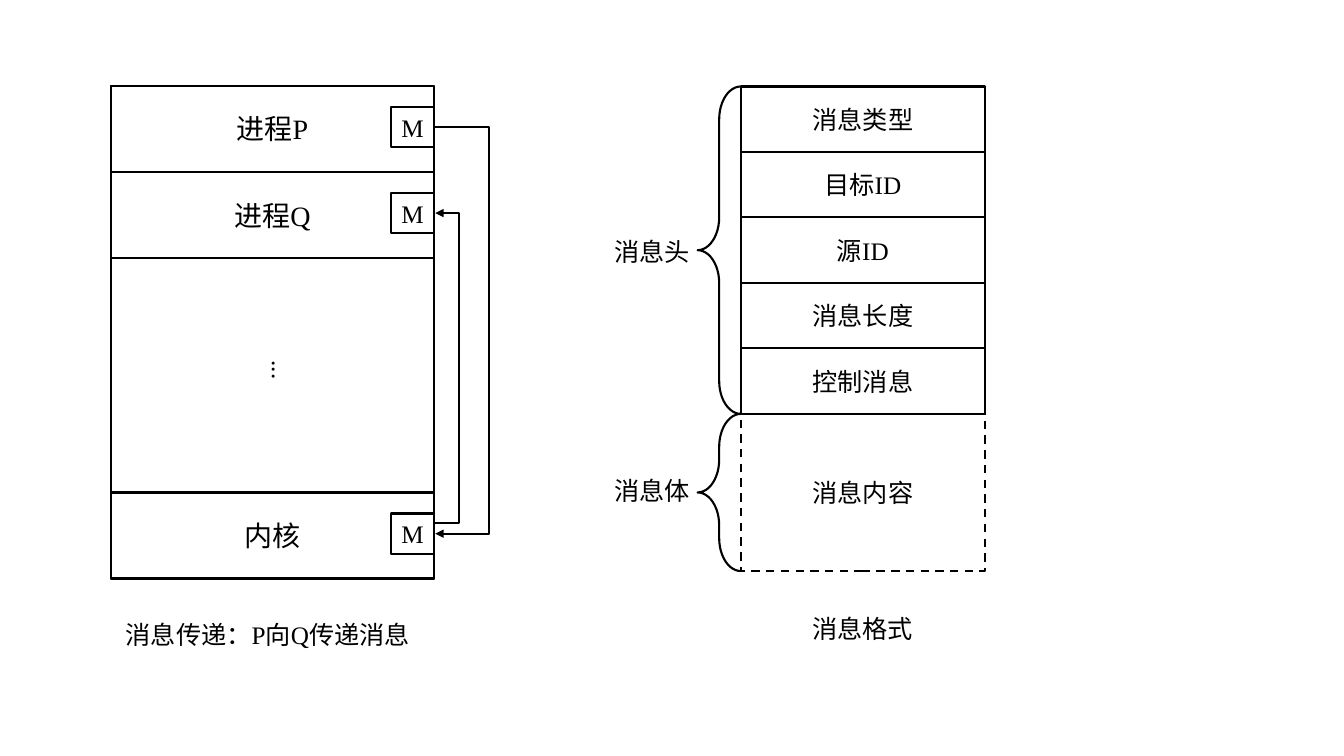
from lxml import etree
from pptx import Presentation
from pptx.dml.color import RGBColor
from pptx.enum import dml, shapes, text
from pptx.oxml import ns
from pptx.util import Cm, Pt

COLORS = {"ink": "000000"}
LATIN_FONT = "Times New Roman"
CHINESE_FONT = "Noto Sans CJK SC"
LINE_WIDTH = Pt(1.5)

MEMORY_LEFT, MEMORY_TOP, MEMORY_WIDTH, MEMORY_HEIGHT = 2.79, 2.16, 8.15, 12.42
ROW_HEIGHT = 2.17
MARK_WIDTH, MARK_HEIGHT, MARK_OFFSET = 1.09, 1.02, 0.53
FIELD_LEFT, FIELD_TOP, FIELD_WIDTH, FIELD_HEIGHT = 18.67, 2.18, 6.15, 1.65
BODY_HEIGHT = 3.96
BRACE_WIDTH = 1.09


def ink():
    return RGBColor.from_string(COLORS["ink"])


def write(box, words, size, align=text.PP_ALIGN.CENTER):
    para = box.text_frame.paragraphs[0]
    para.text = words
    para.alignment = align
    para.font.size = Pt(size)
    para.font.color.rgb = ink()
    para.font.name = LATIN_FONT
    defaults = para._p.pPr.find(ns.qn("a:defRPr"))
    etree.SubElement(defaults, ns.qn("a:ea"), typeface=CHINESE_FONT)


def add_outline(page, kind, left, top, width, height):
    shape = page.shapes.add_shape(kind, Cm(left), Cm(top), Cm(width), Cm(height))
    shape.shadow.inherit = False
    shape.fill.background()
    shape.line.color.rgb = ink()
    shape.line.width = LINE_WIDTH
    return shape


def add_cell(page, left, top, width, height, words="", size=18):
    cell = add_outline(page, shapes.MSO_SHAPE.RECTANGLE, left, top, width, height)
    if words:
        cell.text_frame.vertical_anchor = text.MSO_ANCHOR.MIDDLE
        write(cell, words, size)
    return cell


def add_label(page, left, top, width, height, words, align=text.PP_ALIGN.CENTER):
    box = page.shapes.add_textbox(Cm(left), Cm(top), Cm(width), Cm(height))
    box.text_frame.word_wrap = True
    write(box, words, 18, align)
    return box


def add_brace(page, top, height):
    brace = add_outline(page, shapes.MSO_SHAPE.LEFT_BRACE,
                        FIELD_LEFT - BRACE_WIDTH, top, BRACE_WIDTH, height)
    brace.adjustments[0] = 0.76
    brace.adjustments[1] = 0.5


def add_message_arrow(page, start, end, reach):
    left = MEMORY_LEFT + MEMORY_WIDTH
    gap = 0.03
    arrow = page.shapes.add_connector(shapes.MSO_CONNECTOR.ELBOW,
                                      Cm(left), Cm(start), Cm(left + gap), Cm(end))
    arrow.line.color.rgb = ink()
    arrow.line.width = LINE_WIDTH
    properties = arrow._element.spPr
    guides = properties.find(ns.qn("a:prstGeom")).get_or_add_avLst()
    etree.SubElement(guides, ns.qn("a:gd"), name="adj1",
                     fmla=f"val {round(reach / gap * 100000)}")
    etree.SubElement(arrow.line._get_or_add_ln(), ns.qn("a:tailEnd"), type="triangle")
    etree.SubElement(properties, ns.qn("a:effectLst"))


def draw_memory(page):
    add_cell(page, MEMORY_LEFT, MEMORY_TOP, MEMORY_WIDTH, MEMORY_HEIGHT)
    kernel_top = MEMORY_TOP + MEMORY_HEIGHT - ROW_HEIGHT
    rows = [("进程P", MEMORY_TOP), ("进程Q", MEMORY_TOP + ROW_HEIGHT), ("内核", kernel_top)]
    for words, top in rows:
        add_cell(page, MEMORY_LEFT, top, MEMORY_WIDTH, ROW_HEIGHT, words, 20)
        add_cell(page, MEMORY_LEFT + MEMORY_WIDTH - MARK_WIDTH, top + MARK_OFFSET,
                 MARK_WIDTH, MARK_HEIGHT, "M")
    dots = add_label(page, 6.35, 8.84, 1.27, 2.54, "...", text.PP_ALIGN.LEFT)
    dots.text_frame._txBody.bodyPr.set("vert", "eaVert")

    sender, receiver, kernel = [top + MARK_OFFSET + MARK_HEIGHT / 2 for _, top in rows]
    add_message_arrow(page, sender, kernel, 1.38)
    add_message_arrow(page, kernel - 0.28, receiver, 0.62)
    add_label(page, 2.92, 15.49, 7.87, 1.02, "消息传递：P向Q传递消息", text.PP_ALIGN.LEFT)


def draw_message_format(page):
    fields = ["消息类型", "目标ID", "源ID", "消息长度", "控制消息"]
    for index, words in enumerate(fields):
        add_cell(page, FIELD_LEFT, FIELD_TOP + index * FIELD_HEIGHT,
                 FIELD_WIDTH, FIELD_HEIGHT, words)
    head_height = len(fields) * FIELD_HEIGHT
    body_top = FIELD_TOP + head_height
    body = add_cell(page, FIELD_LEFT, body_top, FIELD_WIDTH, BODY_HEIGHT, "消息内容")
    body.line.dash_style = dml.MSO_LINE.DASH

    add_brace(page, FIELD_TOP, head_height)
    add_brace(page, body_top, BODY_HEIGHT)
    for left, top, words in [(13.74, 5.82, "消息头"), (13.74, 11.86, "消息体"),
                             (19.05, 15.32, "消息格式")]:
        add_label(page, left, top, 5.38, 1.02, words)


def main():
    deck = Presentation()
    deck.slide_width, deck.slide_height = Cm(33.87), Cm(19.05)
    page = deck.slides.add_slide(deck.slide_layouts[6])
    draw_memory(page)
    draw_message_format(page)
    deck.save("out.pptx")


if __name__ == "__main__":
    main()
